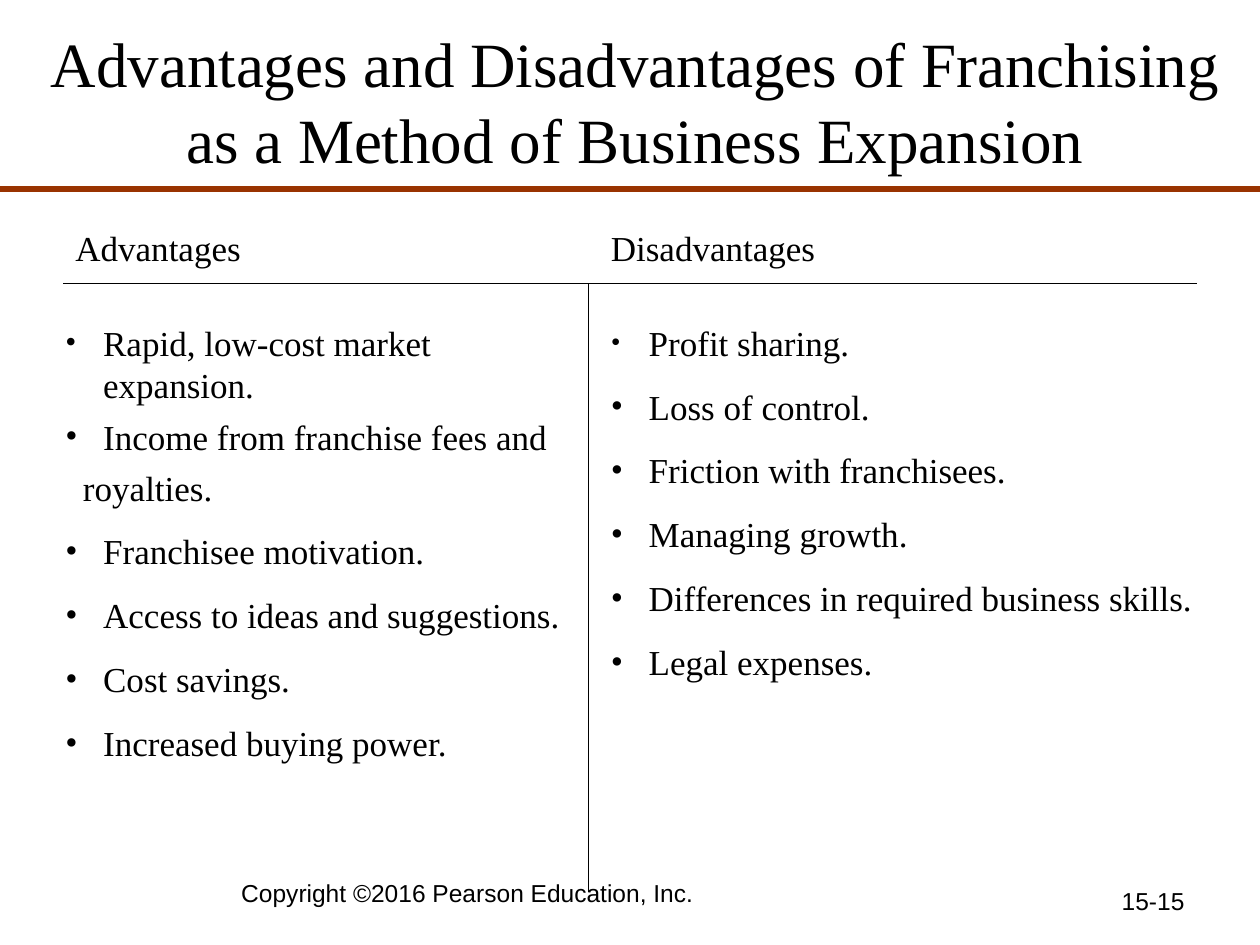
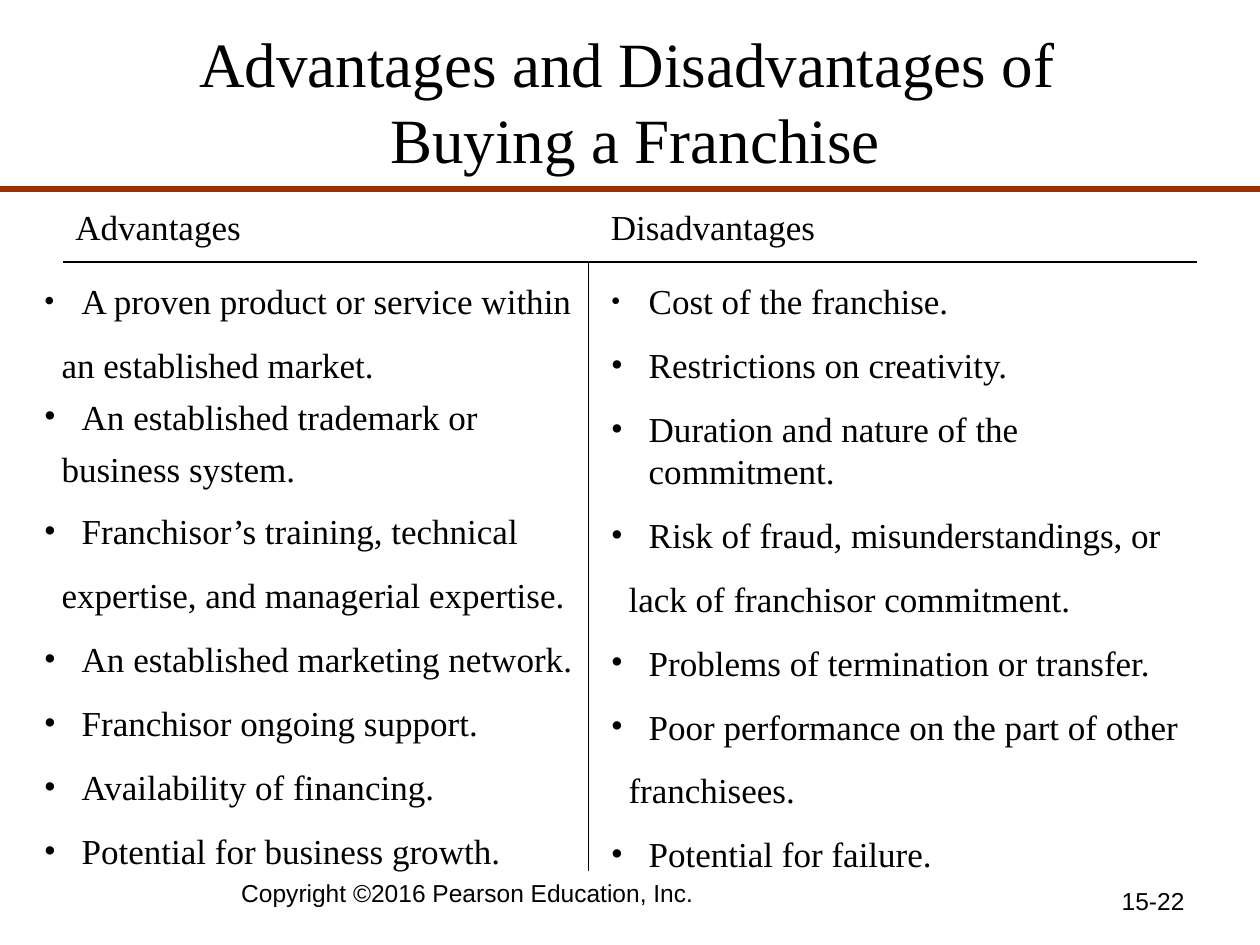
from dataclasses import dataclass

from lxml.etree import SubElement
from pptx import Presentation
from pptx.dml.color import RGBColor
from pptx.enum.shapes import MSO_CONNECTOR
from pptx.enum.text import MSO_ANCHOR, MSO_AUTO_SIZE, PP_ALIGN
from pptx.oxml.ns import qn
from pptx.util import Inches, Pt

# Shared style
BLACK = RGBColor(0x00, 0x00, 0x00)
BROWN = RGBColor(0x99, 0x33, 0x00)
SERIF = "Times New Roman"
SANS = "Arial"
COPYRIGHT = "Copyright ©2016 Pearson Education, Inc."

# Shared geometry, in inches
DIVIDER_X = 4.67
RIGHT_X = 4.75
BULLET_INDENT = 0.3
CONTINUED_INDENT = 0.14


@dataclass
class Item:
    text: str
    bullet: bool = True
    tight: bool = False


def add_box(page, left, top, width, height):
    box = page.shapes.add_textbox(Inches(left), Inches(top), Inches(width), Inches(height))
    box.text_frame.word_wrap = True
    return box.text_frame


def style_paragraph(para, size, font_name, align=PP_ALIGN.LEFT):
    para.alignment = align
    para.font.size = Pt(size)
    para.font.name = font_name
    para.font.color.rgb = BLACK


def add_label(page, place, text, size, font_name, align=PP_ALIGN.LEFT):
    frame = add_box(page, *place)
    frame.text = text
    style_paragraph(frame.paragraphs[0], size, font_name, align)
    return frame


def add_line(page, start, end, color=BLACK, weight=0.75):
    points = [Inches(value) for value in (*start, *end)]
    line = page.shapes.add_connector(MSO_CONNECTOR.STRAIGHT, *points)
    line.line.color.rgb = color
    line.line.width = Pt(weight)
    SubElement(line._element.spPr, qn("a:effectLst"))


def indent_paragraph(para, bullet, bullet_percent):
    properties = para._p.get_or_add_pPr()
    margin = BULLET_INDENT if bullet else CONTINUED_INDENT
    properties.set("marL", str(Inches(margin)))
    properties.set("indent", str(-Inches(margin) if bullet else 0))
    if bullet:
        SubElement(properties, qn("a:buSzPct")).set("val", str(bullet_percent * 1000))
        SubElement(properties, qn("a:buFont")).set("typeface", SERIF)
        SubElement(properties, qn("a:buChar")).set("char", "•")
    else:
        SubElement(properties, qn("a:buNone"))


def add_list(page, place, items, first_bullet_percent):
    frame = add_box(page, *place)
    frame.auto_size = MSO_AUTO_SIZE.SHAPE_TO_FIT_TEXT
    for index, item in enumerate(items):
        para = frame.add_paragraph() if index else frame.paragraphs[0]
        para.text = item.text
        indent_paragraph(para, item.bullet, 100 if index else first_bullet_percent)
        if index:
            para.space_before = Pt(12.5)
        if item.tight:
            para.line_spacing = 0.7
        style_paragraph(para, 20, SERIF)


def add_page(deck, title, number):
    page = deck.slides.add_slide(deck.slide_layouts[6])
    frame = add_label(page, (0.25, 0.17, 9.58, 1.25), title, 36, SERIF, PP_ALIGN.CENTER)
    frame.vertical_anchor = MSO_ANCHOR.MIDDLE
    add_line(page, (0, 1.5), (10, 1.5), BROWN, 3)
    add_label(page, (0.5, 6.92, 6.42, 0.43), COPYRIGHT, 14, SANS, PP_ALIGN.CENTER)
    add_label(page, (7.17, 6.98, 2.33, 0.52), number, 14, SANS, PP_ALIGN.RIGHT)
    return page


def add_comparison(page, header_top, list_top, list_left, advantages, disadvantages, heights):
    rule_y = header_top + 0.5
    add_line(page, (0.5, rule_y), (9.5, rule_y))
    add_line(page, (DIVIDER_X, rule_y), (DIVIDER_X, rule_y + 4.83))
    for left, heading in ((0.5, "Advantages"), (RIGHT_X, "Disadvantages")):
        add_label(page, (left, header_top, 2.67, 0.44), heading, 20, SERIF)
    left_place = (list_left, list_top, DIVIDER_X - list_left, heights[0])
    add_list(page, left_place, advantages, 90)
    add_list(page, (RIGHT_X, list_top, 4.92, heights[1]), disadvantages, 80)


def main():
    deck = Presentation()
    deck.slide_width, deck.slide_height = Inches(10), Inches(7.5)

    # Franchising as a way to expand
    page = add_page(
        deck,
        "Advantages and Disadvantages of Franchising as a Method of Business Expansion",
        "15-15",
    )
    advantages = [
        Item("Rapid, low-cost market expansion."),
        Item("Income from franchise fees and", tight=True),
        Item("royalties.", bullet=False, tight=True),
        Item("Franchisee motivation."),
        Item("Access to ideas and suggestions."),
        Item("Cost savings."),
        Item("Increased buying power."),
    ]
    disadvantages = [
        Item("Profit sharing."),
        Item("Loss of control."),
        Item("Friction with franchisees."),
        Item("Managing growth."),
        Item("Differences in required business skills."),
        Item("Legal expenses."),
    ]
    add_comparison(page, 1.75, 2.5, 0.42, advantages, disadvantages, (3.28, 2.97))

    # Buying a franchise
    page = add_page(deck, "Advantages and Disadvantages of \vBuying a Franchise", "15-22")
    advantages = [
        Item("A proven product or service within"),
        Item("an established market.", bullet=False),
        Item("An established trademark or", tight=True),
        Item("business system.", bullet=False, tight=True),
        Item("Franchisor’s training, technical"),
        Item("expertise, and managerial expertise.", bullet=False),
        Item("An established marketing network."),
        Item("Franchisor ongoing support."),
        Item("Availability of financing."),
        Item("Potential for business growth."),
    ]
    disadvantages = [
        Item("Cost of the franchise."),
        Item("Restrictions on creativity."),
        Item("Duration and nature of the commitment."),
        Item("Risk of fraud, misunderstandings, or"),
        Item("lack of franchisor commitment.", bullet=False),
        Item("Problems of termination or transfer."),
        Item("Poor performance on the part of other"),
        Item("franchisees.", bullet=False),
        Item("Potential for failure."),
    ]
    add_comparison(page, 1.58, 2.17, 0.25, advantages, disadvantages, (4.8, 4.49))

    deck.save("out.pptx")


if __name__ == "__main__":
    main()
